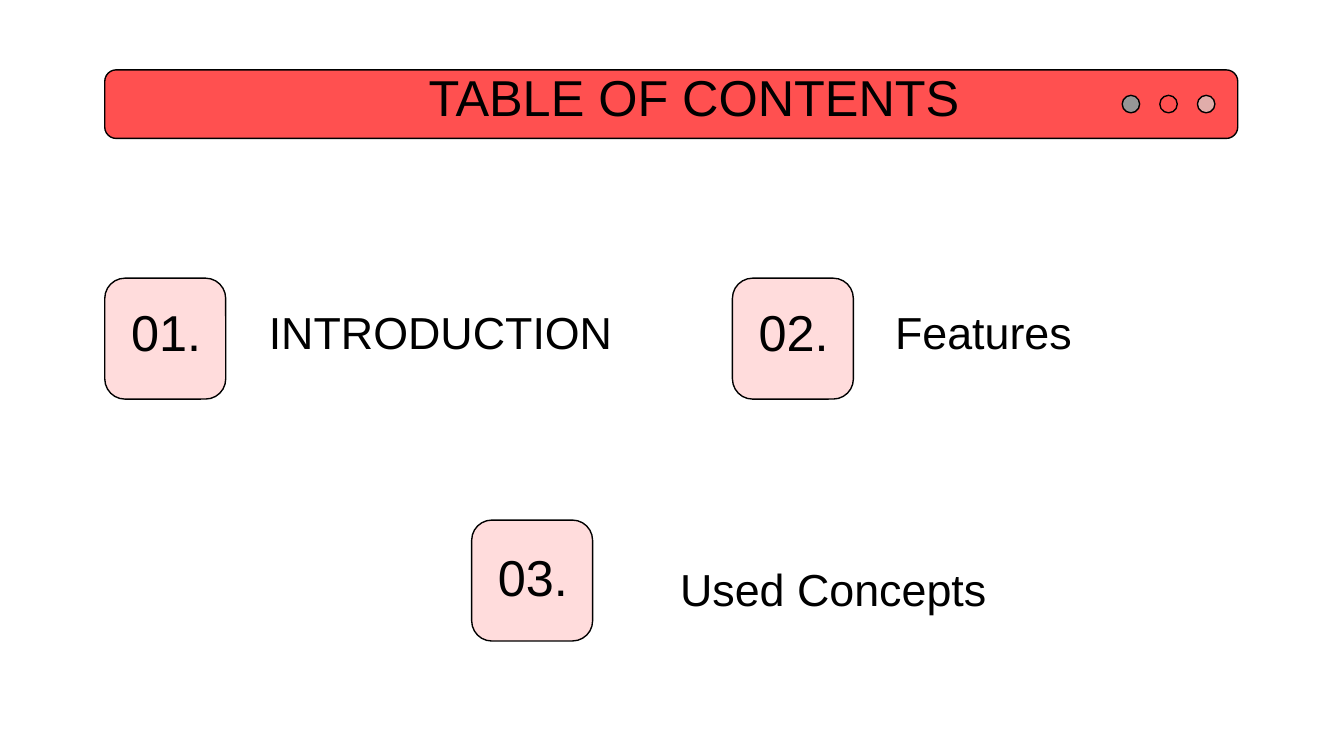
from dataclasses import dataclass

from pptx import Presentation
from pptx.dml.color import RGBColor
from pptx.enum.shapes import MSO_SHAPE
from pptx.enum.text import MSO_ANCHOR, MSO_AUTO_SIZE, PP_ALIGN
from pptx.util import Inches, Pt

ROUND_RECT, OVAL = MSO_SHAPE.ROUNDED_RECTANGLE, MSO_SHAPE.OVAL
LEFT, CENTER = PP_ALIGN.LEFT, PP_ALIGN.CENTER
TOP = MSO_ANCHOR.TOP
NO_AUTOFIT = MSO_AUTO_SIZE.NONE
COMPARISON_LAYOUT = 4


@dataclass(frozen=True)
class Theme:
    font: str = "Arial"
    ink: str = "000000"
    bar: str = "FF5050"
    tile: str = "FFDCDC"
    dots: tuple = ("969696", "FF5050", "E0ADAA")
    heading: int = 27
    label: int = 24
    line: float = 0.75


THEME = Theme()


def place(sp, x, y, w, h):
    sp.left, sp.top, sp.width, sp.height = map(Inches, (x, y, w, h))


def add_outlined(s, kind, x, y, w, h, fill):
    sp = s.shapes.add_shape(kind, *map(Inches, (x, y, w, h)))
    sp.shadow.inherit = False
    sp.fill.solid()
    sp.fill.fore_color.rgb = RGBColor.from_string(fill)
    sp.line.color.rgb = RGBColor.from_string(THEME.ink)
    sp.line.width = Pt(THEME.line)


def write(sp, text, size, align):
    tf = sp.text_frame
    tf.text = text
    tf.word_wrap = True
    tf.auto_size = NO_AUTOFIT
    tf.vertical_anchor = TOP
    tf.margin_left = tf.margin_right = tf.margin_top = tf.margin_bottom = 0
    p = tf.paragraphs[0]
    p.alignment = align
    p.line_spacing = 1.0
    p.space_before = Pt(0)
    # Turn off the bullet and indent of the body style
    pPr = p._p.get_or_add_pPr()
    pPr.set("marL", "0")
    pPr.set("indent", "0")
    pPr.append(pPr.makeelement(
        "{http://schemas.openxmlformats.org/drawingml/2006/main}buNone", {}))
    font = p.runs[0].font
    font.name, font.size, font.bold = THEME.font, Pt(size), False
    font.color.rgb = RGBColor.from_string(THEME.ink)


def add_title_bar(s, title, x, y, w, h):
    add_outlined(s, ROUND_RECT, x, y, w, h, THEME.bar)
    place(s.shapes.title, x + 0.88, y - 0.03, 7.01, 0.63)
    write(s.shapes.title, title, THEME.heading, CENTER)
    # Window buttons at the right end
    for i, color in enumerate(THEME.dots):
        add_outlined(s, OVAL, x + 7.57 + 0.28 * i, y + 0.19, 0.13, 0.13, color)


def add_entry(s, body, number, label, x, y, number_dy, label_dx, label_dy,
              size=0.9):
    add_outlined(s, ROUND_RECT, x, y, size, size, THEME.tile)
    box = s.shapes.add_textbox(0, 0, 0, 0)
    place(box, x + 0.16, y + number_dy, 0.59, 0.51)
    write(box, number, THEME.heading, CENTER)
    place(body, x + label_dx, y + label_dy, 2.76, 0.51)
    write(body, label, THEME.label, LEFT)


def bring_to_front(sp):
    tree = sp._element.getparent()
    tree.append(sp._element)


def main():
    prs = Presentation()
    # Widescreen, 16:9
    prs.slide_width, prs.slide_height = Inches(10), Inches(10 * 9 / 16)
    s = prs.slides.add_slide(prs.slide_layouts[COMPARISON_LAYOUT])
    title, *bodies, spare = s.placeholders
    spare._element.getparent().remove(spare._element)

    add_title_bar(s, "TABLE OF CONTENTS", 0.78, 0.52, 8.43, 0.51)

    # Label, tile position, then number and label offsets from the tile
    entries = [
        ("INTRODUCTION", 0.78, 2.07, 0.17, 1.22, 0.2),
        ("Features", 5.45, 2.07, 0.17, 1.21, 0.2),
        ("Used Concepts", 3.51, 3.87, 0.19, 1.55, 0.31),
    ]
    for i, (body, entry) in enumerate(zip(bodies, entries), 1):
        add_entry(s, body, f"{i:02d}.", *entry)

    # Text stays above the filled shapes
    for sp in (title, *bodies):
        bring_to_front(sp)

    prs.save("out.pptx")


if __name__ == "__main__":
    main()
